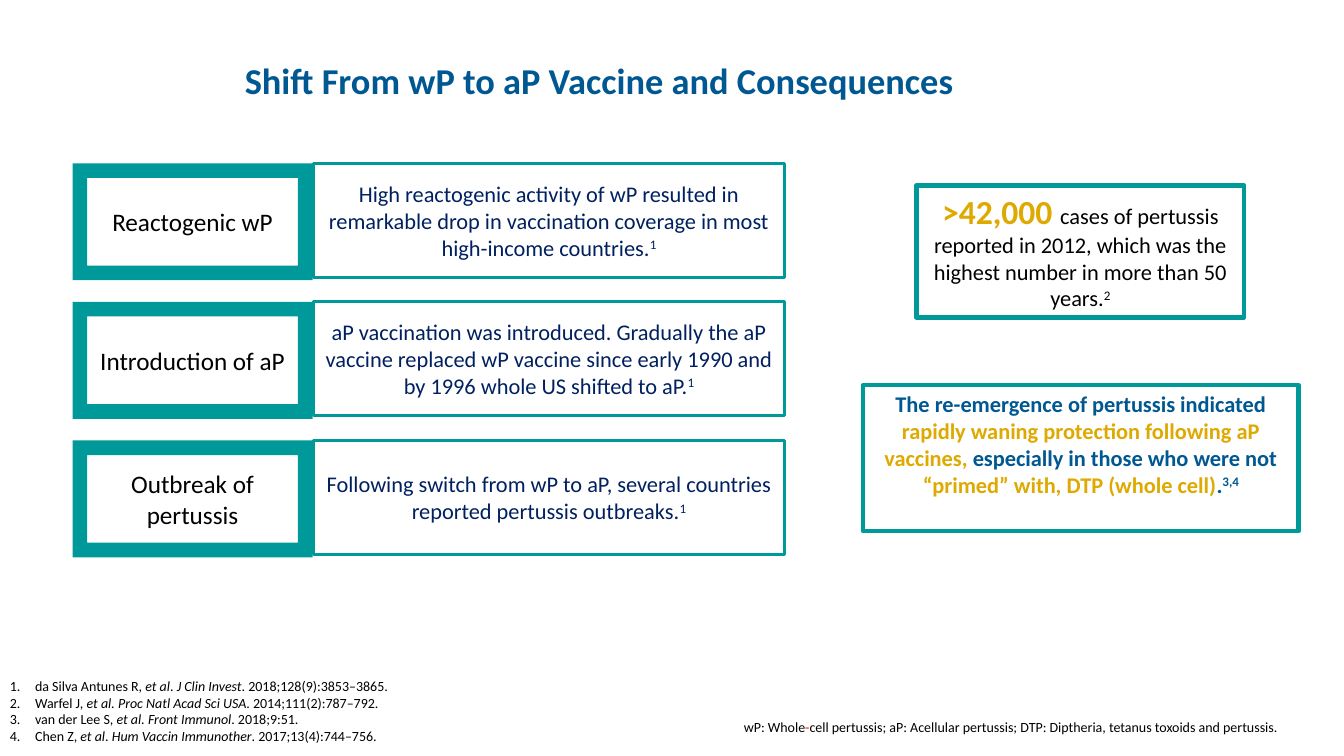
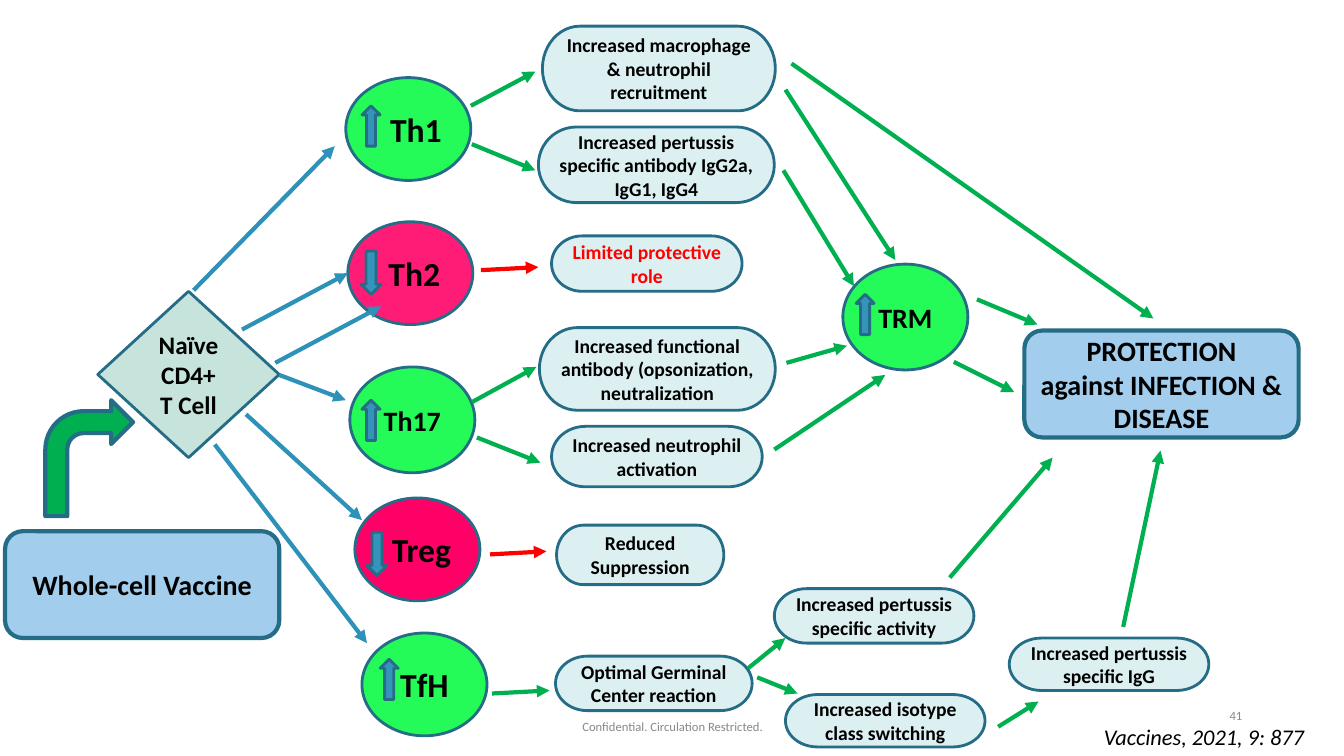
"""Build two slides on the shift from whole-cell to acellular pertussis vaccine."""
from lxml import etree
from pptx import Presentation
from pptx.dml.color import RGBColor
from pptx.enum.shapes import MSO_CONNECTOR, MSO_SHAPE
from pptx.enum.text import MSO_ANCHOR, PP_ALIGN
from pptx.oxml.ns import qn
from pptx.util import Inches, Pt

RECTANGLE = MSO_SHAPE.RECTANGLE
ROUNDED = MSO_SHAPE.ROUNDED_RECTANGLE
FRAME = MSO_SHAPE.FRAME
DIAMOND = MSO_SHAPE.DIAMOND
ELLIPSE = MSO_SHAPE.OVAL
PILL = MSO_SHAPE.FLOWCHART_TERMINATOR
BENT_ARROW = MSO_SHAPE.BENT_ARROW
UP_ARROW = MSO_SHAPE.UP_ARROW
DOWN_ARROW = MSO_SHAPE.DOWN_ARROW
STRAIGHT = MSO_CONNECTOR.STRAIGHT
LEFT, CENTER, RIGHT, JUSTIFY = (
    PP_ALIGN.LEFT, PP_ALIGN.CENTER, PP_ALIGN.RIGHT, PP_ALIGN.JUSTIFY)
TOP, MIDDLE = MSO_ANCHOR.TOP, MSO_ANCHOR.MIDDLE

FONT = "Calibri"
BLACK = RGBColor(0x00, 0x00, 0x00)
WHITE = RGBColor(0xFF, 0xFF, 0xFF)
RED = RGBColor(0xFF, 0x00, 0x00)
GRAY = RGBColor(0x88, 0x88, 0x88)
TITLE_BLUE = RGBColor(0x00, 0x58, 0x92)
NAVY = RGBColor(0x00, 0x20, 0x60)
TEAL = RGBColor(0x00, 0x99, 0x99)
GOLD = RGBColor(0xDE, 0xA9, 0x00)
OUTLINE = RGBColor(0x25, 0x6C, 0x87)
SKY = RGBColor(0xA2, 0xCD, 0xED)
MINT = RGBColor(0xC6, 0xE4, 0xDB)
PALE = RGBColor(0xDC, 0xF0, 0xF2)
LIME = RGBColor(0x25, 0xFB, 0x58)
PINK = RGBColor(0xFF, 0x00, 0x66)
GREEN = RGBColor(0x00, 0xB0, 0x50)
BLUE = RGBColor(0x2E, 0x91, 0xB8)
MARKER_BLUE = RGBColor(0x34, 0x94, 0xBA)

STAGES = [
    ("Reactogenic wP",
     "High reactogenic activity of wP resulted in remarkable drop in "
     "vaccination coverage in most high-income countries."),
    ("Introduction of aP",
     "aP vaccination was introduced. Gradually the aP vaccine replaced wP "
     "vaccine since early 1990 and by 1996 whole US shifted to aP."),
    ("Outbreak of pertussis",
     "Following switch from wP to aP, several countries reported pertussis "
     "outbreaks."),
]
ITALIC = {"italic": True}
RAISED = {"raised": True}
REFERENCES = [
    [("da Silva Antunes R, ", {}), ("et al", ITALIC), (". ", {}),
     ("J Clin Invest", ITALIC), (". 2018;128(9):3853–3865.", {})],
    [("Warfel J, ", {}), ("et al. Proc Natl Acad Sci USA", ITALIC),
     (". 2014;111(2):787–792.", {})],
    [("van der Lee S, ", {}), ("et al. Front Immunol", ITALIC),
     (". 2018;9:51.", {})],
    [("Chen Z, ", {}), ("et al", ITALIC), (". ", {}),
     ("Hum Vaccin Immunother", ITALIC), (". 2017;13(4):744–756.", {})],
]

CELLS = [
    ("Th1", 3.43, 0.77, 1.02, 24, LIME, 100, 0.15),
    ("Th2", 3.45, 2.2, 1.02, 24, PINK, 89, 0.08),
    ("Treg", 3.52, 4.94, 1.02, 24, PINK, 100, 0.08),
    ("Th17", 3.47, 3.64, 1.05, 20, LIME, 100, 0),
    ("TfH", 3.59, 6.28, 1.02, 24, LIME, 100, 0),
    ("TRM", 8.36, 2.62, 1.05, 20, LIME, 100, 0),
]
RISES = [(3.59, 1.05), (3.59, 3.97), (3.77, 6.54), (8.49, 2.92)]
FALLS = [(3.58, 2.49), (3.64, 5.28)]
EFFECTS = [
    ("Increased macrophage & neutrophil recruitment",
     (5.38, 0.26, 2.31, 0.84), BLACK),
    ("Increased pertussis specific antibody IgG2a, IgG1, IgG4",
     (5.34, 1.26, 2.34, 0.75), BLACK),
    ("Limited protective role", (5.47, 2.34, 1.89, 0.55), RED),
    ("Increased functional antibody (opsonization, neutralization",
     (5.35, 3.25, 2.34, 0.82), BLACK),
    ("Increased neutrophil activation", (5.47, 4.23, 2.09, 0.6), BLACK),
    ("Reduced Suppression", (5.52, 5.21, 1.66, 0.59), BLACK),
    ("Optimal Germinal Center reaction", (5.51, 6.51, 1.95, 0.54), BLACK),
    ("Increased isotype class switching", (7.79, 6.89, 1.98, 0.52), BLACK),
    ("Increased pertussis specific activity", (7.68, 5.84, 1.98, 0.54), BLACK),
    ("Increased pertussis specific IgG", (10.01, 6.33, 1.98, 0.52), BLACK),
]
ARROWS = {
    BLUE: [
        (2.77, 3.72, 3.43, 3.97), (2.44, 4.11, 3.59, 5.16),
        (2.13, 4.41, 3.64, 6.38), (2.4, 3.27, 3.45, 2.71),
        (1.92, 2.88, 3.32, 1.45), (2.73, 3.6, 3.78, 3.04),
    ],
    RED: [(4.77, 2.68, 5.34, 2.65), (4.86, 5.5, 5.42, 5.47)],
    GREEN: [
        (4.67, 1.05, 5.31, 0.71), (4.68, 3.99, 5.32, 3.64),
        (4.68, 1.43, 5.31, 1.69), (4.73, 4.34, 5.36, 4.59),
        (4.88, 6.88, 5.45, 6.85), (7.8, 3.6, 8.4, 3.43),
        (7.77, 1.69, 8.47, 2.84), (7.79, 0.89, 8.88, 2.58),
        (7.68, 4.46, 8.78, 3.72), (7.42, 6.63, 7.79, 6.33),
        (7.51, 6.72, 7.91, 6.88), (9.42, 5.73, 10.44, 4.54),
        (11.14, 6.22, 11.51, 4.47), (9.9, 7.21, 10.3, 6.96),
        (9.69, 2.97, 10.29, 3.22), (9.46, 3.59, 10.06, 3.89),
        (7.85, 0.63, 11.44, 3.16),
    ],
}


def add_text(paragraph, text, size=16, color=BLACK, bold=False, italic=False,
             raised=False):
    """Add text to a paragraph, with each newline as a line break."""
    for index, line in enumerate(text.split("\n")):
        if index:
            paragraph.add_line_break()
        run = paragraph.add_run()
        run.text = line
        font = run.font
        font.name, font.size, font.bold, font.italic = FONT, Pt(size), bold, italic
        font.color.rgb = color
        if raised:
            run._r.get_or_add_rPr().set("baseline", "30000")


class Deck:
    """Hold the presentation, its shared style and the current slide."""

    def __init__(self):
        """Start an empty widescreen presentation."""
        self.presentation = Presentation()
        self.presentation.slide_width = Inches(13.33)
        self.presentation.slide_height = Inches(7.5)
        self.slide = None

    def new_slide(self):
        """Add a blank slide and make it current."""
        layout = self.presentation.slide_layouts[6]
        self.slide = self.presentation.slides.add_slide(layout)

    def set_text(self, shape, paragraphs, align=CENTER, anchor=MIDDLE,
                 numbered=False, **style):
        """Fill a shape with paragraphs, each a string or a list of runs."""
        frame = shape.text_frame
        frame.word_wrap = True
        frame.vertical_anchor = anchor
        for index, content in enumerate(paragraphs):
            paragraph = frame.add_paragraph() if index else frame.paragraphs[0]
            paragraph.alignment = align
            if numbered:
                self.number(paragraph)
            runs = [(content, {})] if isinstance(content, str) else content
            for text, changes in runs:
                add_text(paragraph, text, **{**style, **changes})

    def number(self, paragraph):
        """Give a paragraph a hanging automatic number."""
        properties = paragraph._p.get_or_add_pPr()
        properties.set("marL", str(Inches(0.25)))
        properties.set("indent", str(-Inches(0.25)))
        color = etree.SubElement(properties, qn("a:buClr"))
        etree.SubElement(color, qn("a:srgbClr"), val=str(BLACK))
        etree.SubElement(properties, qn("a:buFont"), typeface="+mj-lt")
        etree.SubElement(properties, qn("a:buAutoNum"), type="arabicPeriod")

    def text(self, box, paragraphs, **style):
        """Add a text box."""
        shape = self.slide.shapes.add_textbox(*map(Inches, box))
        self.set_text(shape, paragraphs, **style)

    def title(self, text):
        """Add the slide title."""
        self.text((2.33, 0.5, 11.5, 0.59), [text], align=LEFT, size=26,
                  color=TITLE_BLUE, bold=True)

    def shape(self, kind, box, paragraphs=(), fill=None, line=OUTLINE, width=2,
              opacity=100, **style):
        """Add a preset shape with optional text."""
        shape = self.slide.shapes.add_shape(kind, *map(Inches, box))
        shape.shadow.inherit = False
        if fill is None:
            shape.fill.background()
        else:
            shape.fill.solid()
            shape.fill.fore_color.rgb = fill
        if opacity < 100:
            color = shape._element.spPr.find(qn("a:solidFill"))[0]
            etree.SubElement(color, qn("a:alpha"), val=str(opacity * 1000))
        if line is None:
            shape.line.fill.background()
        else:
            shape.line.color.rgb = line
            shape.line.width = Pt(width)
        self.set_text(shape, paragraphs, **style)
        return shape

    def arrow(self, ends, color):
        """Add a straight arrow between two points."""
        connector = self.slide.shapes.add_connector(STRAIGHT, *map(Inches, ends))
        connector.line.color.rgb = color
        connector.line.width = Pt(3)
        etree.SubElement(connector.line._get_or_add_ln(), qn("a:tailEnd"),
                         type="triangle")
        etree.SubElement(connector._element.spPr, qn("a:effectLst"))


def build_consequences(deck):
    """Build the slide on the vaccine shift and its consequences."""
    deck.new_slide()
    deck.title("Shift From wP to aP Vaccine and Consequences")
    for index, (stage, detail) in enumerate(STAGES):
        top = 1.62 + 1.375 * index
        deck.shape(FRAME, (0.72, top, 2.38, 1.16), [stage], fill=TEAL,
                   line=None, size=18)
        deck.shape(RECTANGLE, (3.11, top, 4.67, 1.13),
                   [[(detail, {}), ("1", RAISED)]], fill=WHITE, line=TEAL,
                   color=NAVY)
    deck.shape(
        RECTANGLE, (9.09, 1.84, 3.25, 1.31),
        [[(">42,000 ", {"size": 24, "color": GOLD, "bold": True}),
          ("cases of pertussis reported in 2012, which was the highest number "
           "in more than 50 years.", {}), ("2", RAISED)]],
        line=TEAL, width=3, anchor=TOP)
    gold = {"color": GOLD}
    deck.shape(
        RECTANGLE, (8.56, 3.82, 4.32, 1.45),
        [[("The re-emergence of pertussis indicated ", {}),
          ("rapidly waning protection following aP vaccines, ", gold),
          ("especially in those who were not ", {}),
          ("“primed” with, DTP (whole cell)", gold),
          (".", {}), ("3,4", RAISED)]],
        line=TEAL, width=3, anchor=TOP, color=TITLE_BLUE, bold=True)
    deck.text((0, 6.67, 4.67, 0.77), REFERENCES, align=JUSTIFY, anchor=TOP,
              numbered=True, size=10)
    deck.text((7.28, 7.08, 6.05, 0.27),
              [[("wP: Whole", {}), ("-", {"color": RED}),
                ("cell pertussis; aP: Acellular pertussis; DTP: Diptheria, "
                 "tetanus toxoids and pertussis.", {})]],
              align=LEFT, anchor=TOP, size=10)


def build_pathway(deck):
    """Build the slide on the immune pathway of the whole-cell vaccine."""
    deck.new_slide()
    deck.text((4.42, 7.01, 4.5, 0.4), ["Confidential. Circulation Restricted."],
              size=9, color=GRAY)
    deck.text((9.42, 6.9, 3, 0.4), ["41"], align=RIGHT, size=9, color=GRAY)
    for left, top, text in [
            (0.05, 5.27, "Whole-cell Vaccine"),
            (10.16, 3.28, "PROTECTION\nagainst INFECTION & DISEASE")]:
        deck.shape(ROUNDED, (left, top, 2.72, 1.06), [text], fill=SKY, width=3,
                   size=20, bold=True)
    deck.shape(DIAMOND, (0.97, 2.89, 1.8, 1.65), ["Naïve\nCD4+\nT Cell"],
               fill=MINT, size=18, bold=True)
    deck.shape(BENT_ARROW, (0.45, 3.97, 0.87, 1.15), fill=GREEN, width=3)
    for name, left, top, height, size, fill, opacity, shift in CELLS:
        cell = deck.shape(ELLIPSE, (left, top, 1.24, height), [name], fill=fill,
                          opacity=opacity, size=size, bold=True)
        cell.text_frame.margin_left = Inches(shift)
        cell.text_frame.margin_right = 0
    for text, box, color in EFFECTS:
        deck.shape(PILL, box, [text], fill=PALE, size=14, color=color, bold=True)
    for kind, places, size in [(UP_ARROW, RISES, (0.18, 0.4)),
                               (DOWN_ARROW, FALLS, (0.2, 0.43))]:
        for place in places:
            deck.shape(kind, place + size, fill=MARKER_BLUE)
    for color, arrows in ARROWS.items():
        for ends in arrows:
            deck.arrow(ends, color)
    deck.text((10.85, 7.13, 2.22, 0.37), ["Vaccines, 2021, 9: 877"],
              align=JUSTIFY, anchor=TOP, italic=True)


def main():
    """Build and save the presentation."""
    deck = Deck()
    build_consequences(deck)
    build_pathway(deck)
    deck.presentation.save("out.pptx")


if __name__ == "__main__":
    main()
